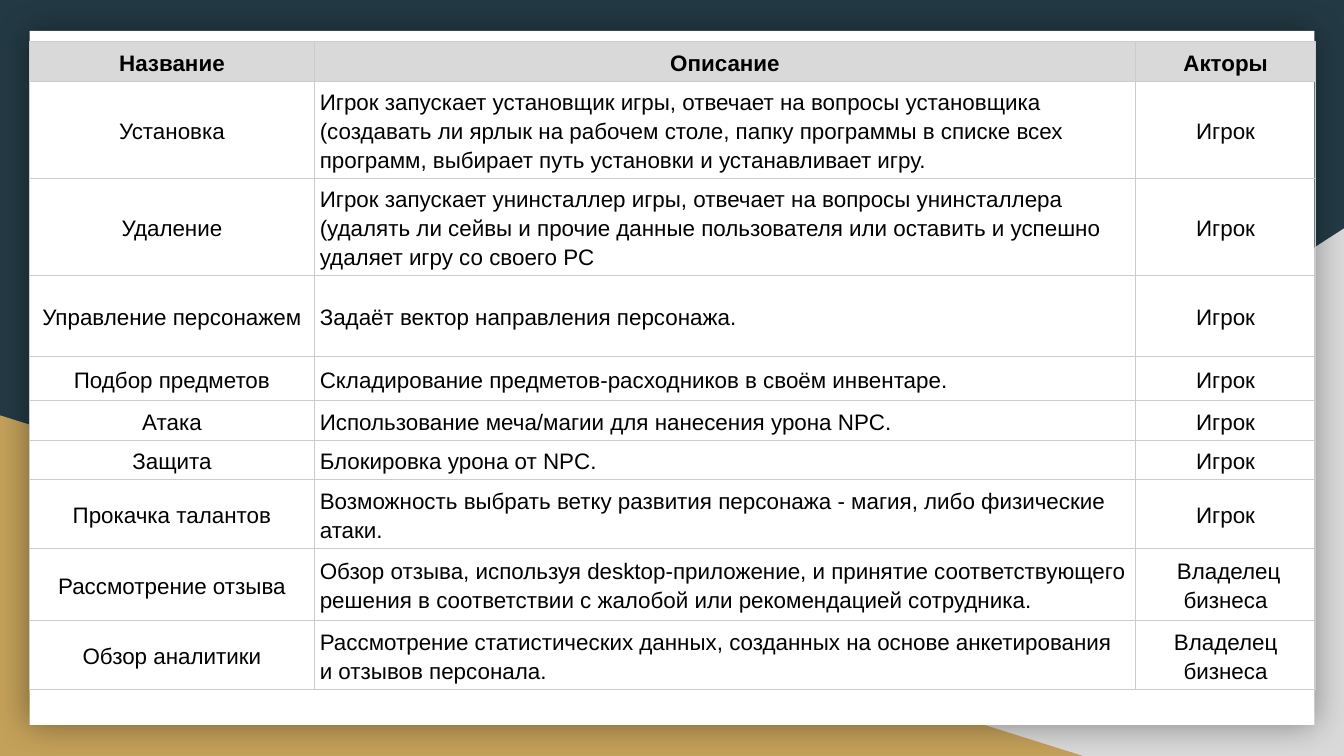
from lxml import etree
from pptx import Presentation, util as u
from pptx.dml.color import RGBColor
from pptx.enum import shapes, text
from pptx.oxml import parse_xml
from pptx.oxml.ns import nsdecls, qn

HEADER = ("Название", "Описание", "Акторы")
PLAYER, OWNER = "Игрок", "Владелец бизнеса"
# name, description, actor, least row height (rows grow to fit their text)
USE_CASES = [
    ("Установка",
     "Игрок запускает установщик игры, отвечает на вопросы установщика (создавать ли ярлык "
     "на рабочем столе, папку программы в списке всех программ, выбирает путь установки и "
     "устанавливает игру.", PLAYER, 0.6),
    ("Удаление",
     "Игрок запускает унинсталлер игры, отвечает на вопросы унинсталлера (удалять ли сейвы и "
     "прочие данные пользователя или оставить и успешно удаляет игру со своего PC",
     PLAYER, 0.6),
    ("Управление персонажем", "Задаёт вектор направления персонажа.", PLAYER, 0.6),
    ("Подбор предметов", "Складирование предметов-расходников в своём инвентаре.",
     PLAYER, 0.33),
    ("Атака", "Использование меча/магии для нанесения урона NPC.", PLAYER, 0.24),
    ("Защита", "Блокировка урона от NPC.", PLAYER, 0.26),
    ("Прокачка талантов",
     "Возможность выбрать ветку развития персонажа - магия, либо физические атаки.",
     PLAYER, 0.03),
    ("Рассмотрение отзыва",
     "Обзор отзыва, используя desktop-приложение, и принятие соответствующего решения в "
     "соответствии с жалобой или рекомендацией сотрудника.", " " + OWNER, 0.54),
    ("Обзор аналитики",
     "Рассмотрение статистических данных, созданных на основе анкетирования и отзывов "
     "персонала.", OWNER, 0.33),
]
COLUMNS = (2.12, 6.11, 1.34)
HEADER_HEIGHT = 0.01
WIDTH = 10
HEIGHT = WIDTH * 9 / 16
SIDE, TOP = 0.22, 0.23
NAVY, GOLD, GREY, WHITE, BLACK, RULE = "233A44", "C4A15A", "D9D9D9", "FFFFFF", "000000", "CCCCCC"


def paint(fill, colour):
    fill.solid()
    fill.fore_color.rgb = RGBColor.from_string(colour)


def add_panel(slide, kind, left, top, width, height, colour):
    panel = slide.shapes.add_shape(kind, *map(u.Inches, (left, top, width, height)))
    panel.shadow.inherit = False
    paint(panel.fill, colour)
    panel.line.fill.background()
    return panel


def add_glow(panel):
    """Give the panel a soft shadow on all sides."""
    effects = panel.element.spPr.find(qn("a:effectLst"))
    effects.append(parse_xml(
        f'<a:outerShdw {nsdecls("a")} blurRad="{u.Pt(18)}" dist="0" dir="0" algn="ctr" '
        f'rotWithShape="0"><a:srgbClr val="{BLACK}"><a:alpha val="40000"/></a:srgbClr>'
        '</a:outerShdw>'))


def add_borders(cell):
    """Rule all four sides; borders must come before the fill."""
    properties = cell._tc.get_or_add_tcPr()
    for place, side in enumerate(("lnL", "lnR", "lnT", "lnB")):
        border = etree.Element(qn(f"a:{side}"), w=str(u.Pt(0.75)))
        fill = etree.SubElement(border, qn("a:solidFill"))
        etree.SubElement(fill, qn("a:srgbClr"), val=RULE)
        properties.insert(place, border)


def fill_cell(cell, wording, centred, heading):
    cell.text = wording
    cell.vertical_anchor = text.MSO_ANCHOR.MIDDLE
    cell.margin_left = cell.margin_right = cell.margin_top = cell.margin_bottom = u.Inches(0.04)
    if heading:
        paint(cell.fill, GREY)
    else:
        cell.fill.background()
    add_borders(cell)
    paragraph = cell.text_frame.paragraphs[0]
    paragraph.alignment = text.PP_ALIGN.CENTER if centred else text.PP_ALIGN.LEFT
    paragraph.line_spacing = 1.15
    font = paragraph.font
    font.name, font.size, font.bold = "Arial", u.Pt(12), heading
    paint(font.fill, BLACK)


def add_use_cases(slide):
    rows = [(*HEADER, HEADER_HEIGHT), *USE_CASES]
    heights = [row[-1] for row in rows]
    table = slide.shapes.add_table(
        len(rows), len(COLUMNS), u.Inches(SIDE), u.Inches(0.31),
        u.Inches(sum(COLUMNS)), u.Inches(sum(heights))).table
    table.horz_banding = False
    for column, width in zip(table.columns, COLUMNS):
        column.width = u.Inches(width)
    for r, (*wordings, height) in enumerate(rows):
        table.rows[r].height = u.Inches(height)
        for c, wording in enumerate(wordings):
            heading = r == 0
            fill_cell(table.cell(r, c), wording, heading or c != 1, heading)


def main():
    deck = Presentation()
    deck.slide_width, deck.slide_height = u.Inches(WIDTH), u.Inches(HEIGHT)
    slide = deck.slides.add_slide(deck.slide_layouts[6])
    paint(slide.background.fill, NAVY)

    triangle = shapes.MSO_SHAPE.RIGHT_TRIANGLE
    grey_corner = add_panel(slide, triangle, 3.92, 1.7, WIDTH - 3.92, HEIGHT - 1.7, GREY)
    grey_corner.element.spPr.xfrm.set("flipH", "1")
    add_panel(slide, triangle, 0, 3.09, 8.06, HEIGHT - 3.09, GOLD)
    sheet = add_panel(slide, shapes.MSO_SHAPE.RECTANGLE, SIDE, TOP,
                      WIDTH - 2 * SIDE, HEIGHT - 2 * TOP, WHITE)
    add_glow(sheet)
    add_use_cases(slide)
    deck.save("out.pptx")


if __name__ == "__main__":
    main()
